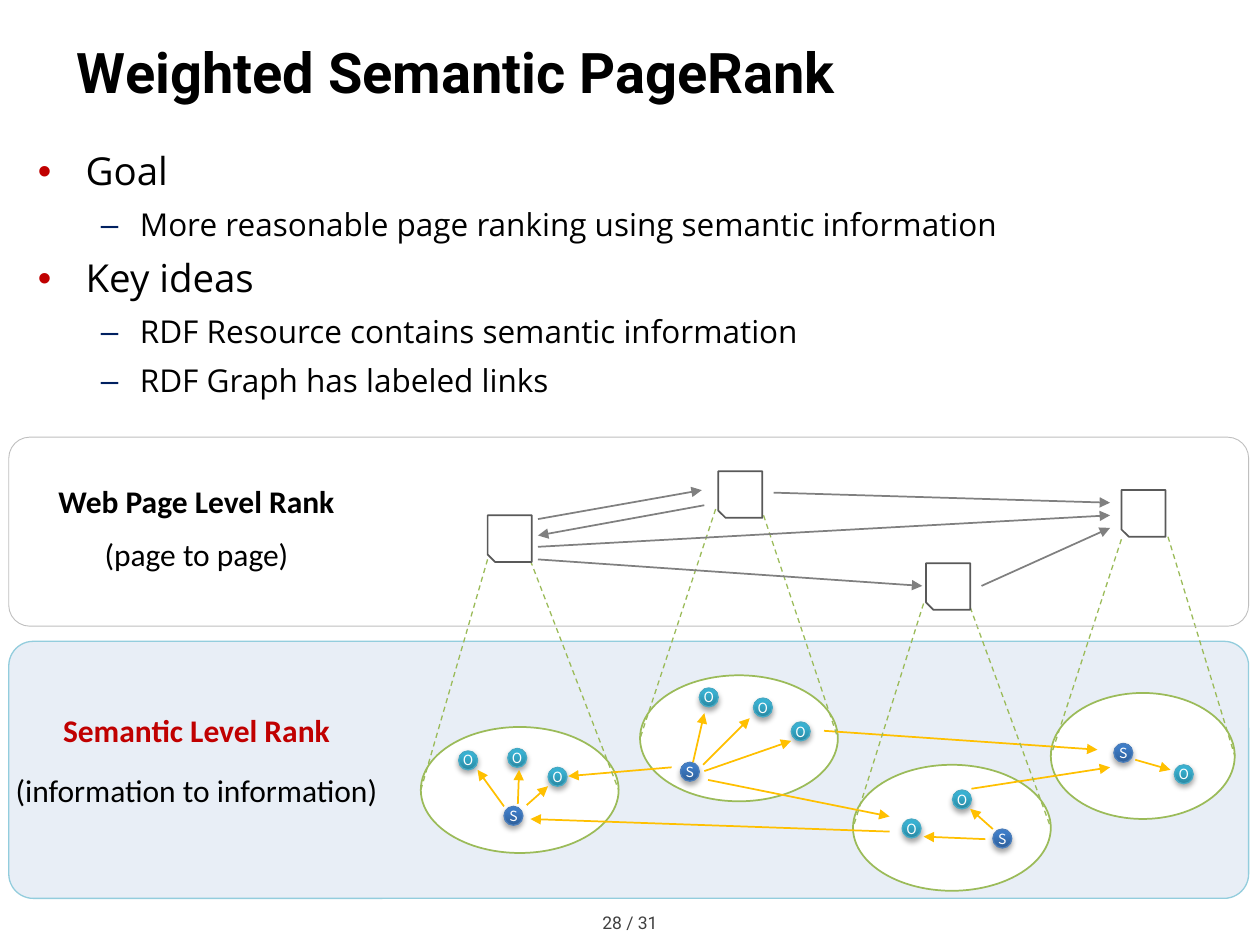
from dataclasses import dataclass

from pptx import Presentation
from pptx.dml.color import RGBColor
from pptx.enum.dml import MSO_LINE
from pptx.enum.shapes import MSO_CONNECTOR, MSO_SHAPE
from pptx.enum.text import MSO_ANCHOR, PP_ALIGN
from pptx.oxml.ns import qn
from pptx.util import Inches, Pt
from lxml import etree

STRAIGHT = MSO_CONNECTOR.STRAIGHT
OVAL, ROUNDED, SNIPPED = MSO_SHAPE.OVAL, MSO_SHAPE.ROUNDED_RECTANGLE, MSO_SHAPE.SNIP_1_RECTANGLE
DASH = MSO_LINE.DASH
LEFT, CENTER = PP_ALIGN.LEFT, PP_ALIGN.CENTER
TOP, MIDDLE = MSO_ANCHOR.TOP, MSO_ANCHOR.MIDDLE


@dataclass(frozen=True)
class Theme:
    heading: str = "Roboto"
    body: str = "Open Sans"
    label: str = "Calibri"
    node: str = "Noto Sans CJK KR"
    title_size: int = 32
    level_sizes: tuple = (22, 18)
    label_size: int = 18
    footer_size: int = 10
    node_size: int = 8
    black: str = "000000"
    white: str = "FFFFFF"
    red: str = "C00000"
    navy: str = "002060"
    footer: str = "404040"
    panel: str = "4F81BD"
    panel_edge: str = "93CDDD"
    web_edge: str = "BFBFBF"
    green: str = "9BBB59"
    gold: str = "FFC000"
    gray: str = "808080"
    page_edge: str = "595959"


THEME = Theme()

# Content
TITLE = "Weighted Semantic PageRank"
BULLETS = [
    (0, "Goal"),
    (1, "More reasonable page ranking using semantic information"),
    (0, "Key ideas"),
    (1, "RDF Resource contains semantic information"),
    (1, "RDF Graph has labeled links"),
]
BULLET_STYLES = [("•", THEME.red, 0.38, 0.38), ("–", THEME.navy, 0.81, 0.31)]
FOOTER = "28 / 31"

SEMANTIC_LABELS = [
    ("Semantic Level Rank", (0.21, 5.59, 2.7, 0.4), THEME.red, True),
    ("(information to information)", (0.01, 6.07, 3.1, 0.4), THEME.black, False),
]
WEB_LABELS = [
    ("Web Page Level Rank", (0.21, 3.78, 2.7, 0.4), THEME.black, True),
    ("(page to page)", (0.69, 4.2, 1.74, 0.4), THEME.black, False),
]

# Each cluster: page corner, ellipse (left, top, width), starts of its two
# dashed guides, nodes (letter, left, top) and links inside the ellipse
CLUSTERS = [
    dict(page=(3.87, 4.09), oval=(3.34, 5.77, 1.57), guides=[(3.87, 4.44), (4.21, 4.45)],
         nodes=[("S", 4, 6.4), ("O", 3.64, 5.96), ("O", 4.03, 5.94), ("O", 4.35, 6.09)],
         links=[(4.18, 6.39, 4.35, 6.24), (4.11, 6.38, 4.12, 6.11), (4, 6.4, 3.79, 6.11)]),
    dict(page=(5.7, 3.74), oval=(5.08, 5.36, 1.57), guides=[(5.68, 4.04), (6.06, 4.09)],
         nodes=[("S", 5.4, 6.05), ("O", 5.55, 5.46), ("O", 5.98, 5.54), ("O", 6.28, 5.73)],
         links=[(5.5, 6.05, 5.59, 5.66), (5.58, 6.07, 5.95, 5.7), (5.59, 6.12, 6.28, 5.88)]),
    dict(page=(7.35, 4.47), oval=(6.77, 6.07, 1.57), guides=[(7.33, 4.79), (7.7, 4.82)],
         nodes=[("S", 7.88, 6.58), ("O", 7.16, 6.5), ("O", 7.56, 6.27)],
         links=[(7.82, 6.66, 7.33, 6.64), (7.88, 6.58, 7.7, 6.42)]),
    dict(page=(8.9, 3.89), oval=(8.34, 5.5, 1.46), guides=[(8.9, 4.28), (9.27, 4.26)],
         nodes=[("S", 8.84, 5.9), ("O", 9.32, 6.07)],
         links=[(9.01, 6.03, 9.29, 6.11)]),
]
CROSS_LINKS = [
    (5.33, 6.09, 4.51, 6.16), (7.06, 6.6, 4.21, 6.5), (7.71, 6.26, 8.81, 6.09),
    (6.54, 5.8, 8.71, 5.95), (5.62, 6.19, 7.06, 6.48),
]
PAGE_LINKS = [
    (4.27, 4.12, 5.57, 3.89), (5.59, 4.01, 4.27, 4.25), (6.14, 3.91, 8.81, 3.99),
    (4.27, 4.34, 8.81, 4.09), (4.27, 4.44, 7.32, 4.65), (7.79, 4.65, 8.81, 4.19),
]
NODE_COLORS = {"S": ("2F5F99", "3D7CC7", "4B7EBC"), "O": ("2A88A2", "37B1D2", "46AAC5")}
OVAL_HEIGHT, NODE_SIDE = 1, 0.15
PAGE_WIDTH, PAGE_HEIGHT = 0.35, 0.37


def rgb(value):
    return RGBColor.from_string(value)


def child(parent, tag, **attributes):
    return etree.SubElement(parent, qn(tag), attributes)


def write(para, text, font, size, color, bold=False):
    span = para.add_run()
    span.text = text
    span.font.name, span.font.size, span.font.bold = font, Pt(size), bold
    span.font.color.rgb = rgb(color)


def place(item, box):
    item.left, item.top, item.width, item.height = map(Inches, box)


def add_label(slide, text, box, color, bold, font=THEME.label, size=THEME.label_size):
    frame = slide.shapes.add_textbox(*map(Inches, box)).text_frame
    frame.word_wrap = True
    frame.paragraphs[0].alignment = CENTER
    write(frame.paragraphs[0], text, font, size, color, bold)


def add_outline(slide, kind, box, edge, width, fill=None):
    shape = slide.shapes.add_shape(kind, *map(Inches, box))
    shape.shadow.inherit = False
    if fill:
        shape.fill.solid()
        shape.fill.fore_color.rgb = rgb(fill)
    else:
        shape.fill.background()
    shape.line.color.rgb = rgb(edge)
    shape.line.width = Pt(width)
    return shape


def add_line(slide, ends, color, width=1, dashed=False):
    line = slide.shapes.add_connector(STRAIGHT, *map(Inches, ends))
    line.line.color.rgb = rgb(color)
    line.line.width = Pt(width)
    if dashed:
        line.line.dash_style = DASH
    else:
        child(line.line._get_or_add_ln(), "a:tailEnd", type="triangle")
    child(line._element.spPr, "a:effectLst")


def add_node(slide, letter, left, top):
    dark, light, edge = NODE_COLORS[letter]
    node = add_outline(slide, OVAL, (left, top, NODE_SIDE, NODE_SIDE), edge, 0.75)
    node.fill.gradient()
    node.fill.gradient_angle = 90
    for stop, color, position in zip(node.fill.gradient_stops, (dark, light), (0, 0.8)):
        stop.color.rgb, stop.position = rgb(color), position
    effects = node._element.spPr.find(qn("a:effectLst"))
    shadow = child(effects, "a:outerShdw", blurRad=str(Pt(3.1)), dist=str(Pt(1.8)),
                   dir="5400000", rotWithShape="0")
    child(child(shadow, "a:srgbClr", val=THEME.black), "a:alpha", val="35000")
    frame = node.text_frame
    frame.margin_left = frame.margin_right = frame.margin_top = frame.margin_bottom = 0
    frame.word_wrap = False
    frame.vertical_anchor = MIDDLE
    frame.paragraphs[0].alignment = CENTER
    write(frame.paragraphs[0], letter, THEME.node, THEME.node_size, THEME.white)


def fill_placeholders(slide):
    title, body = slide.shapes.title, slide.placeholders[1]
    place(title, (0.51, 0.13, 9.29, 0.87))
    title.text_frame.vertical_anchor = MIDDLE
    para = title.text_frame.paragraphs[0]
    para.alignment = LEFT
    write(para, TITLE, THEME.heading, THEME.title_size, THEME.black, True)

    place(body, (0.2, 1.16, 9.61, 2.19))
    frame = body.text_frame
    frame.vertical_anchor = TOP
    for index, (level, text) in enumerate(BULLETS):
        para = frame.add_paragraph() if index else frame.paragraphs[0]
        mark, color, margin, hanging = BULLET_STYLES[level]
        size = THEME.level_sizes[level]
        para.level = level
        properties = para._p.get_or_add_pPr()
        properties.set("marL", str(Inches(margin)))
        properties.set("indent", str(-Inches(hanging)))
        child(child(properties, "a:buClr"), "a:srgbClr", val=color)
        child(properties, "a:buChar", char=mark)
        para.line_spacing = 0.9
        para.space_before = Pt(size * 0.2 if index else 0)
        para.space_after = Pt(5)
        write(para, text, THEME.body, size, THEME.black)


def main():
    deck = Presentation()
    deck.slide_width, deck.slide_height = Inches(10), Inches(7.5)
    slide = deck.slides.add_slide(deck.slide_layouts[1])
    fill_placeholders(slide)
    add_label(slide, FOOTER, (0, 7.19, 10, 0.27), THEME.footer, False,
              THEME.heading, THEME.footer_size)

    # Semantic level panel
    panel = add_outline(slide, ROUNDED, (0.07, 5.09, 9.84, 2.04), THEME.panel_edge, 0.75, THEME.panel)
    panel.adjustments[0] = 0.095
    tint = panel._element.spPr.find(qn("a:solidFill")).find(qn("a:srgbClr"))
    child(tint, "a:alpha", val="13000")

    # Clusters of subjects and objects
    for cluster in CLUSTERS:
        add_outline(slide, OVAL, (*cluster["oval"], OVAL_HEIGHT), THEME.green, 1, THEME.white)
    for cluster in CLUSTERS:
        for node in cluster["nodes"]:
            add_node(slide, *node)
        for ends in cluster["links"]:
            add_line(slide, ends, THEME.gold)
    for ends in CROSS_LINKS:
        add_line(slide, ends, THEME.gold)

    # Pages and the guides down to both sides of their ellipses
    for cluster in CLUSTERS:
        left, top, width = cluster["oval"]
        for start, side in zip(cluster["guides"], (left, left + width)):
            add_line(slide, (*start, side, top + OVAL_HEIGHT / 2), THEME.green, 0.75, True)
        page = add_outline(slide, SNIPPED, (*cluster["page"], PAGE_WIDTH, PAGE_HEIGHT),
                           THEME.page_edge, 1, THEME.white)
        page.rotation = 180
    for ends in PAGE_LINKS:
        add_line(slide, ends, THEME.gray)

    # Labels and web page level frame
    for label in SEMANTIC_LABELS + WEB_LABELS:
        add_label(slide, *label)
    web = add_outline(slide, ROUNDED, (0.07, 3.47, 9.84, 1.5), THEME.web_edge, 0.5)
    web.adjustments[0] = 0.111
    deck.save("out.pptx")


if __name__ == "__main__":
    main()
